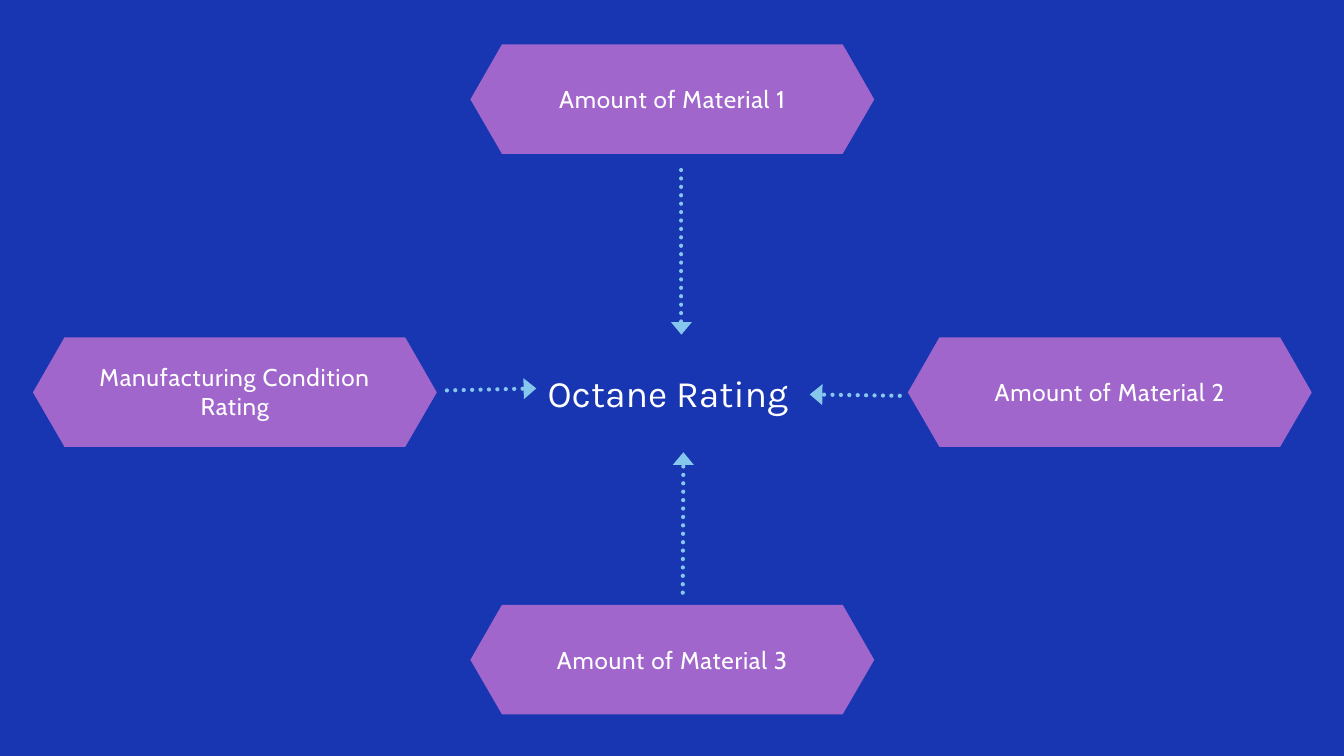
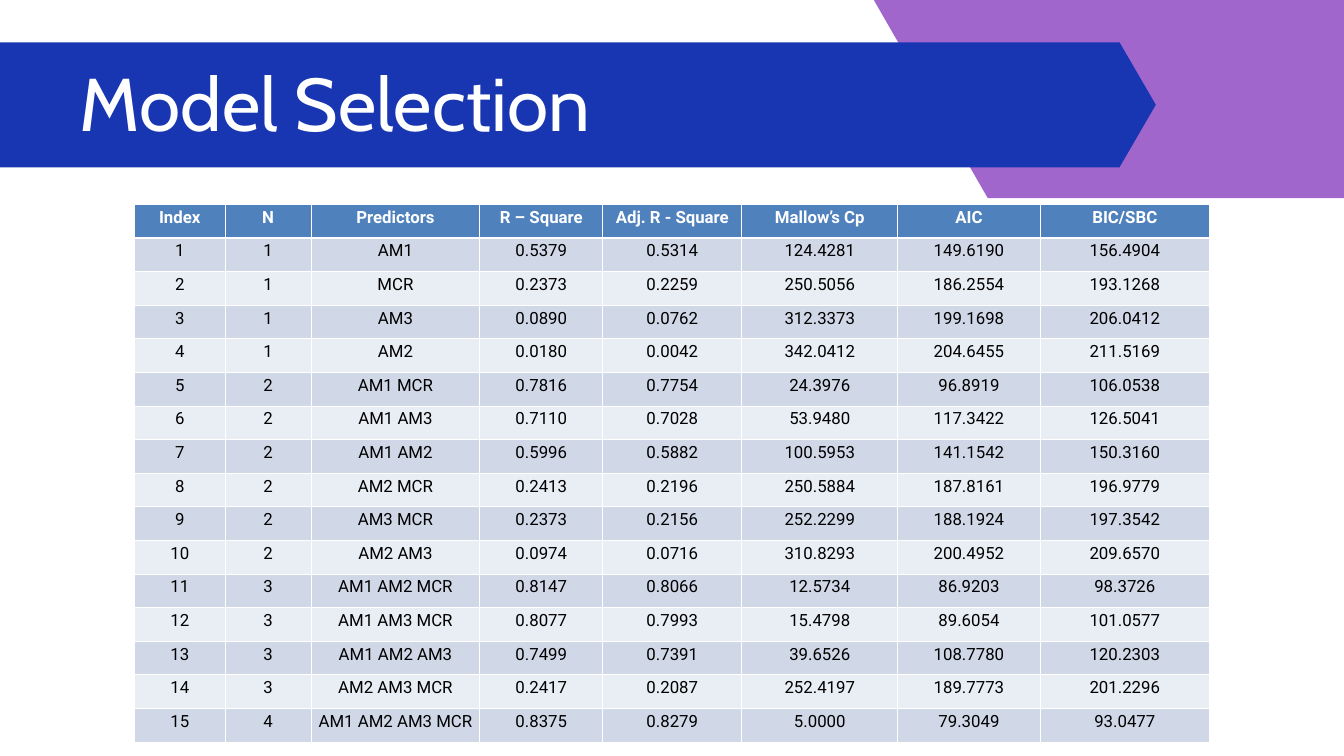
"""Build two slides: the factors behind an octane rating and the model selection table."""
from lxml import etree
from pptx import Presentation
from pptx.dml.color import RGBColor
from pptx.enum.dml import MSO_LINE
from pptx.enum.shapes import MSO_CONNECTOR
from pptx.enum.text import MSO_AUTO_SIZE, PP_ALIGN
from pptx.oxml.ns import qn
from pptx.util import Pt

PX = 9144
CENTER, LEFT = PP_ALIGN.CENTER, PP_ALIGN.LEFT
STRAIGHT = MSO_CONNECTOR.STRAIGHT
DOTTED = MSO_LINE.ROUND_DOT
GROW = MSO_AUTO_SIZE.SHAPE_TO_FIT_TEXT


class Theme:
    blue = RGBColor(0x18, 0x36, 0xB2)
    purple = RGBColor(0xA0, 0x66, 0xCB)
    sky = RGBColor(0x86, 0xC7, 0xED)
    white = RGBColor(0xFF, 0xFF, 0xFF)
    black = RGBColor(0, 0, 0)
    header = RGBColor(0x4F, 0x81, 0xBD)
    bands = (RGBColor(0xD0, 0xD8, 0xE8), RGBColor(0xE9, 0xED, 0xF4))
    display, accent, body = "Cabin", "Karla", "Roboto"
    title_size, rating_size, factor_size, table_size = 80, 40, 26, 18


def add_hexagon(slide, left, top, width, height, notch, color):
    right, bottom, middle = left + width, top + height, top + height / 2
    builder = slide.shapes.build_freeform(right - notch, top, scale=PX)
    builder.add_line_segments([
        (left + notch, top), (left, middle), (left + notch, bottom),
        (right - notch, bottom), (right, middle),
    ])
    hexagon = builder.convert_to_shape()
    hexagon.shadow.inherit = False
    hexagon.fill.solid()
    hexagon.fill.fore_color.rgb = color
    hexagon.line.fill.background()


def add_text(slide, text, box, font, size, leading, align=CENTER, tracking=0):
    frame = slide.shapes.add_textbox(*(round(length * PX) for length in box)).text_frame
    frame.word_wrap = True
    frame.auto_size = GROW
    frame.margin_left = frame.margin_top = frame.margin_right = frame.margin_bottom = 0
    frame.text = text
    paragraph = frame.paragraphs[0]
    paragraph.alignment = align
    paragraph.line_spacing = Pt(leading)
    run = paragraph.runs[0]
    run.font.name, run.font.size = font, Pt(size)
    run.font.color.rgb = Theme.white
    if tracking:
        run.font._element.set("spc", str(tracking))


deck = Presentation()
deck.slide_width, deck.slide_height = 2000 * PX, 1125 * PX
blank = deck.slide_layouts[6]

factors_slide = deck.slides.add_slide(blank)
selection_slide = deck.slides.add_slide(blank)
for slide, backdrop in ((factors_slide, Theme.blue), (selection_slide, Theme.white)):
    slide.background.fill.solid()
    slide.background.fill.fore_color.rgb = backdrop

add_text(factors_slide, "Octane Rating", (786, 540, 416, 74), Theme.accent, Theme.rating_size, 56)

FACTOR_WIDTH, FACTOR_HEIGHT, FACTOR_INSET, LINE_HEIGHT = 601, 163, 95, 44
factors = [
    ("Amount of Material 1", 700, 66, 1),
    ("Amount of Material 2", 1351, 502, 1),
    ("Amount of Material 3", 700, 900, 1),
    ("Manufacturing Condition Rating", 49, 502, 2),
]
for factor, left, top, lines in factors:
    add_hexagon(factors_slide, left, top, FACTOR_WIDTH, FACTOR_HEIGHT, 47, Theme.purple)
    text_height = LINE_HEIGHT * lines
    text_box = (left + FACTOR_INSET, top + (FACTOR_HEIGHT - text_height) / 2,
                FACTOR_WIDTH - 2 * FACTOR_INSET, text_height)
    add_text(factors_slide, factor, text_box, Theme.display, Theme.factor_size, 31.2, tracking=80)

influences = [
    (1339, 589, 1205, 587),
    (1014, 253, 1014, 498),
    (1016, 882, 1017, 673),
    (665, 581, 798, 578),
]
for ends in influences:
    arrow = factors_slide.shapes.add_connector(STRAIGHT, *(end * PX for end in ends))
    arrow.line.color.rgb = Theme.sky
    arrow.line.width = Pt(4.5)
    arrow.line.dash_style = DOTTED
    stroke = arrow.get_or_add_ln()
    stroke.set("cap", "rnd")
    etree.SubElement(stroke, qn("a:tailEnd"), type="triangle", w="lg", len="med")
    etree.SubElement(arrow._element.spPr, qn("a:effectLst"))

add_hexagon(selection_slide, 1252, -462, 1001, 757, 218, Theme.purple)
add_hexagon(selection_slide, -76, 63, 1796, 186, 54, Theme.blue)
add_text(selection_slide, "Model Selection", (119, 95, 1442, 123),
         Theme.display, Theme.title_size, 88, align=LEFT)

headings = ("Index", "N", "Predictors", "R – Square", "Adj. R - Square",
            "Mallow’s Cp", "AIC", "BIC/SBC")
models = [
    ("AM1", "0.5379", "0.5314", "124.4281", "149.6190", "156.4904"),
    ("MCR", "0.2373", "0.2259", "250.5056", "186.2554", "193.1268"),
    ("AM3", "0.0890", "0.0762", "312.3373", "199.1698", "206.0412"),
    ("AM2", "0.0180", "0.0042", "342.0412", "204.6455", "211.5169"),
    ("AM1 MCR", "0.7816", "0.7754", "24.3976", "96.8919", "106.0538"),
    ("AM1 AM3", "0.7110", "0.7028", "53.9480", "117.3422", "126.5041"),
    ("AM1 AM2", "0.5996", "0.5882", "100.5953", "141.1542", "150.3160"),
    ("AM2 MCR", "0.2413", "0.2196", "250.5884", "187.8161", "196.9779"),
    ("AM3 MCR", "0.2373", "0.2156", "252.2299", "188.1924", "197.3542"),
    ("AM2 AM3", "0.0974", "0.0716", "310.8293", "200.4952", "209.6570"),
    ("AM1 AM2 MCR", "0.8147", "0.8066", "12.5734", "86.9203", "98.3726"),
    ("AM1 AM3 MCR", "0.8077", "0.7993", "15.4798", "89.6054", "101.0577"),
    ("AM1 AM2 AM3", "0.7499", "0.7391", "39.6526", "108.7780", "120.2303"),
    ("AM2 AM3 MCR", "0.2417", "0.2087", "252.4197", "189.7773", "201.2296"),
    ("AM1 AM2 AM3 MCR", "0.8375", "0.8279", "5.0000", "79.3049", "93.0477"),
]
rows = [headings] + [
    (str(index), str(len(model[0].split())), *model) for index, model in enumerate(models, 1)
]
column_widths = (135, 128, 251, 183, 207, 232, 212, 252)
ROW_HEIGHT = 50

comparison = selection_slide.shapes.add_table(
    len(rows), len(headings), 200 * PX, 304 * PX,
    sum(column_widths) * PX, len(rows) * ROW_HEIGHT * PX).table
comparison.horz_banding = False
for column, width in zip(comparison.columns, column_widths):
    column.width = width * PX

for row_index, row in enumerate(rows):
    is_header = row_index == 0
    comparison.rows[row_index].height = ROW_HEIGHT * PX
    for column_index, value in enumerate(row):
        cell = comparison.cell(row_index, column_index)
        properties = cell._tc.get_or_add_tcPr()
        for side in ("lnL", "lnR", "lnT", "lnB"):
            under_header = (row_index, side) in ((0, "lnB"), (1, "lnT"))
            border = etree.SubElement(properties, qn(f"a:{side}"), w=str(Pt(3 if under_header else 1)))
            paint = etree.SubElement(border, qn("a:solidFill"))
            etree.SubElement(paint, qn("a:srgbClr"), val=str(Theme.white))
        cell.fill.solid()
        cell.fill.fore_color.rgb = Theme.header if is_header else Theme.bands[(row_index - 1) % 2]
        cell.text_frame.text = value
        paragraph = cell.text_frame.paragraphs[0]
        paragraph.alignment = CENTER
        font = paragraph.runs[0].font
        font.name, font.size, font.bold = Theme.body, Pt(Theme.table_size), is_header
        font.color.rgb = Theme.white if is_header else Theme.black

deck.save("out.pptx")
